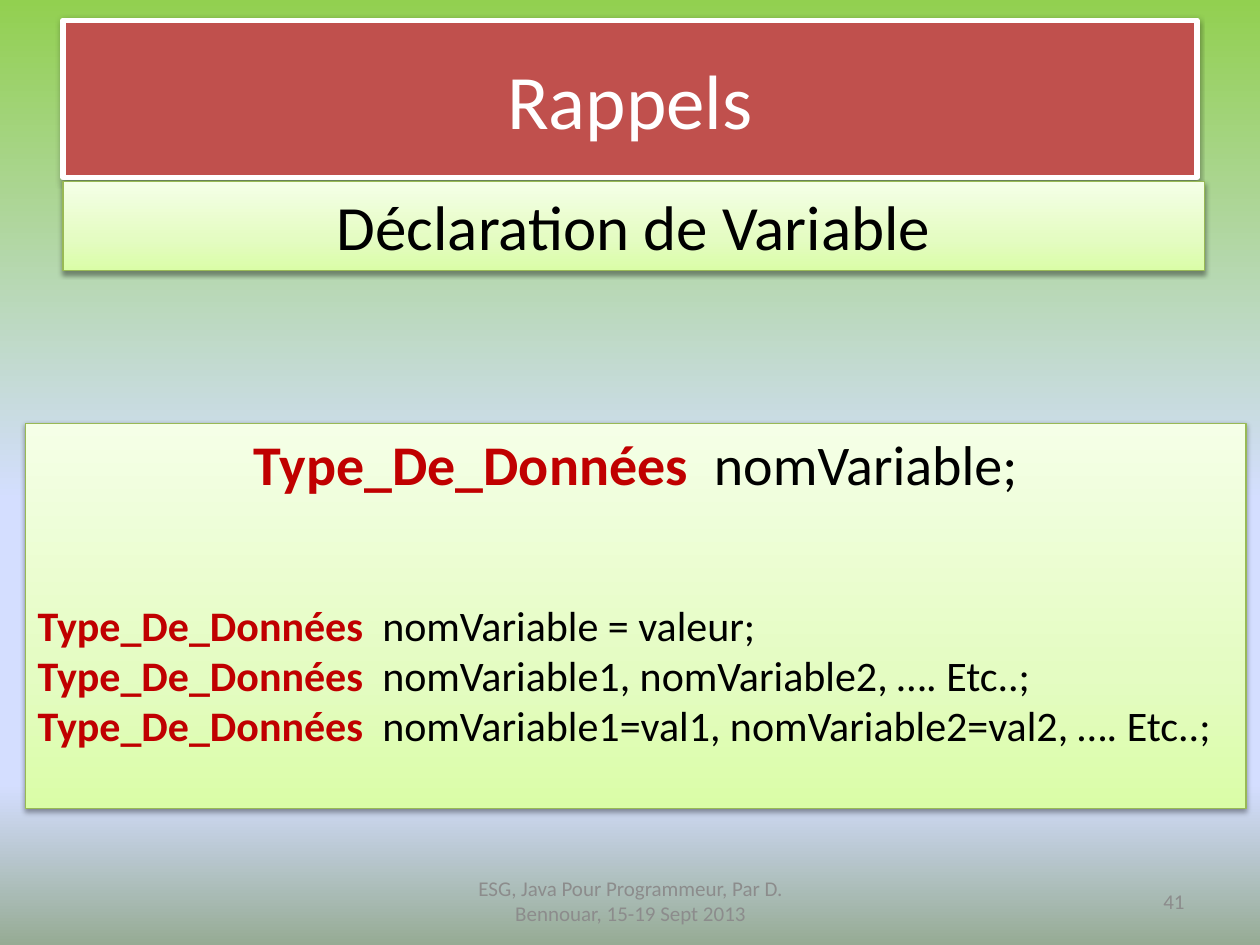
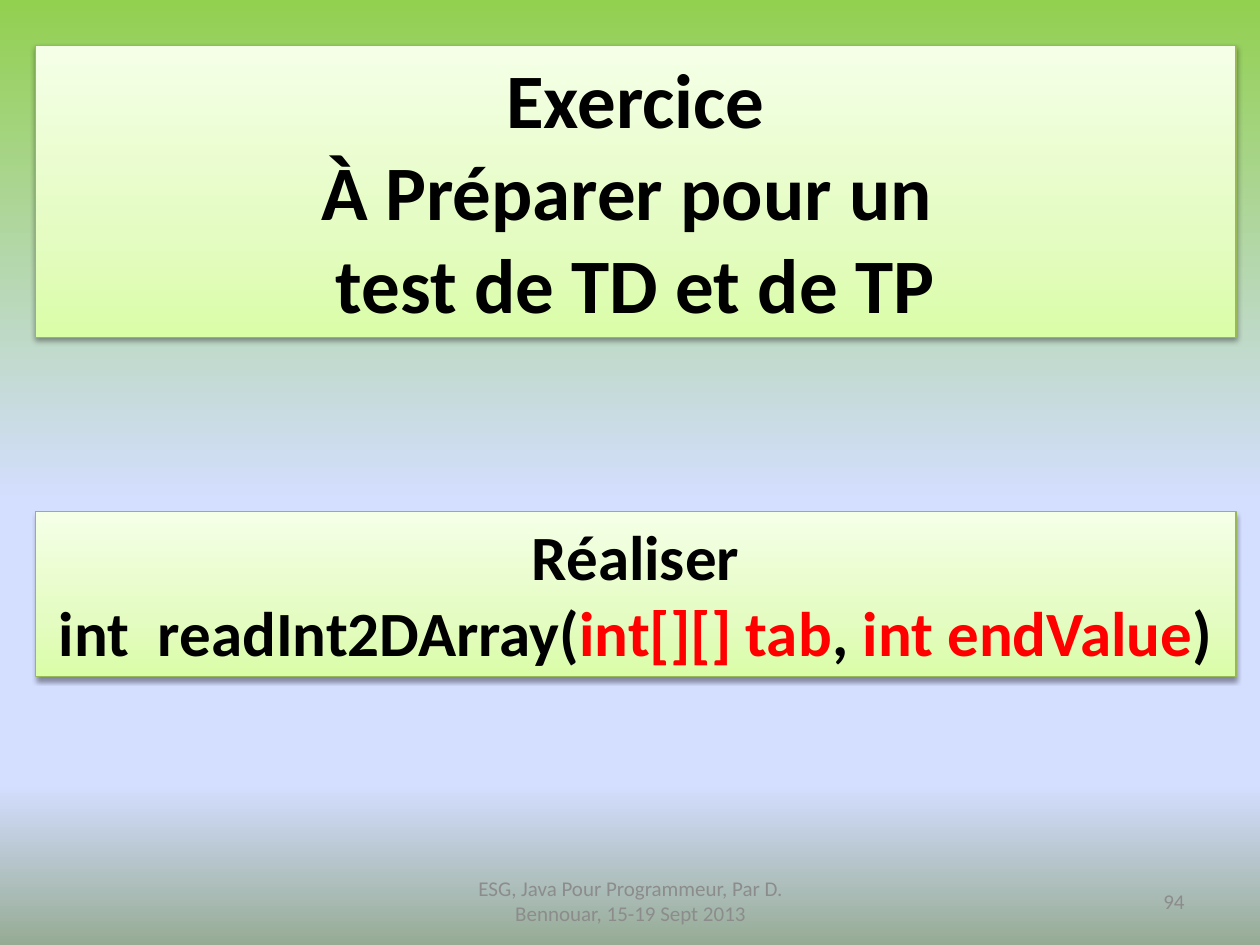
from lxml.etree import SubElement
from pptx import Presentation
from pptx.dml.color import RGBColor
from pptx.enum.shapes import MSO_SHAPE as Preset
from pptx.enum.text import MSO_ANCHOR as Anchor, MSO_AUTO_SIZE as AutoSize, PP_ALIGN as Align
from pptx.oxml.ns import qn
from pptx.util import Inches, Pt

# Shared style
FONT = "Calibri"
INK, WHITE, GREY = "000000", "FFFFFF", "8C8C8C"
TITLE_RED, TYPE_RED, PARAM_RED = "C0504D", "C00000", "FF0000"
PANEL_LINE = "98B955"
SKY = [(0, "92D050"), (53, "D4DEFF"), (83, "D4DEFF"), (100, "96AB94")]
PANEL = [(0, "DAFDA7"), (35, "E4FCC2"), (100, "F5FFE7")]
COLUMNS, ROWS = 100, 75
TITLE_ONLY = 5
FOOTER = "ESG, Java Pour Programmeur, Par D. Bennouar, 15-19 Sept 2013"
DATA_TYPE = ("Type_De_Données  ", TYPE_RED)


def rgb(code):
    return RGBColor.from_string(code)


def apply(target, values):
    for name, value in values.items():
        setattr(target, name, value)


def set_gradient(fill, element, stops, angle):
    """Fill with (percent, colour) stops at a clockwise angle."""
    fill.gradient()
    fill.gradient_angle = 360 - angle
    stop_list = element.find(".//" + qn("a:gsLst"))
    stop_list[:] = []
    for percent, code in stops:
        stop = SubElement(stop_list, qn("a:gs"), pos=str(percent * 1000))
        SubElement(stop, qn("a:srgbClr"), val=code)


class Deck:
    def __init__(self):
        self.prs = Presentation()
        apply(self.prs, {"slide_width": Inches(10), "slide_height": Inches(7.5)})
        master = self.prs.slide_master
        set_gradient(master.background.fill, master.element, SKY, 90)
        self.column = self.prs.slide_width / COLUMNS
        self.row = self.prs.slide_height / ROWS
        self.slide = None

    def box(self, left, top, width, height):
        return (round(left * self.column), round(top * self.row),
                round(width * self.column), round(height * self.row))

    def new_slide(self, number):
        layout = self.prs.slide_layouts[TITLE_ONLY]
        self.slide = self.prs.slides.add_slide(layout)
        self.label((34.2, 69.5, 31.7, 4), FOOTER, Align.CENTER)
        self.label((71.7, 69.5, 23.3, 4), str(number), Align.RIGHT)

    def set_text(self, shape, paragraphs, anchor=Anchor.TOP):
        """Each paragraph is (paragraph format, font format, [(text, colour)])."""
        frame = shape.text_frame
        apply(frame, {"word_wrap": True, "auto_size": AutoSize.NONE,
                      "vertical_anchor": anchor})
        for index, (layout, font, runs) in enumerate(paragraphs):
            paragraph = frame.add_paragraph() if index else frame.paragraphs[0]
            apply(paragraph, layout)
            for text, code in runs:
                run = paragraph.add_run()
                run.text = text
                # Type names are the only bold parts of a declaration
                apply(run.font, {"name": FONT, "bold": code == TYPE_RED, **font})
                run.font.color.rgb = rgb(code)

    def label(self, place, text, align):
        note = self.slide.shapes.add_textbox(*self.box(*place))
        self.set_text(note, [({"alignment": align}, {"size": Pt(12)}, [(text, GREY)])],
                      Anchor.MIDDLE)

    def outline(self, shape, line, width):
        shape.line.color.rgb = rgb(line)
        shape.line.width = Pt(width)
        shape.shadow.inherit = False
        effects = shape.element.spPr.find(qn("a:effectLst"))
        shadow = SubElement(effects, qn("a:outerShdw"), blurRad=str(Pt(3.1)),
                            dist=str(Pt(1.6)), dir="5400000", rotWithShape="0")
        tint = SubElement(shadow, qn("a:srgbClr"), val=INK)
        SubElement(tint, qn("a:alpha"), val="38000")

    def title(self, place):
        heading = self.slide.shapes.title
        apply(heading, dict(zip(("left", "top", "width", "height"), self.box(*place))))
        return heading

    def banner(self, place, text):
        heading = self.title(place)
        heading.fill.solid()
        heading.fill.fore_color.rgb = rgb(TITLE_RED)
        self.outline(heading, WHITE, 3)
        self.set_text(heading, [centred(44, (text, WHITE))], Anchor.MIDDLE)

    def panel(self, place, paragraphs, is_title=False):
        if is_title:
            card = self.title(place)
        else:
            card = self.slide.shapes.add_shape(Preset.RECTANGLE, *self.box(*place))
        set_gradient(card.fill, card.element, PANEL, 270)
        self.outline(card, PANEL_LINE, 0.75)
        self.set_text(card, paragraphs)


def centred(size, *runs, **font):
    return {"alignment": Align.CENTER}, {"size": Pt(size), **font}, runs


def declaration(rest, before=0):
    layout = {"alignment": Align.LEFT, "space_before": Pt(before)}
    return layout, {"size": Pt(24)}, [DATA_TYPE, (rest, INK)]


def main():
    deck = Deck()

    # Variable declaration
    deck.new_slide(41)
    deck.banner((5, 1.6, 90, 12.5), "Rappels")
    deck.panel((2, 33.6, 96.9, 30.6), [
        centred(32, DATA_TYPE, ("nomVariable;", INK)),
        declaration("nomVariable = valeur;", before=58.5),
        declaration("nomVariable1, nomVariable2, …. Etc..;"),
        declaration("nomVariable1=val1, nomVariable2=val2, …. Etc..;"),
    ])
    deck.panel((5, 14.4, 90.6, 7.1), [centred(36, ("Déclaration de Variable", INK))])

    # Exercise
    deck.new_slide(94)
    exercise = ("Exercice", "À Préparer pour un ", "test de TD et de TP")
    deck.panel((2.8, 3.6, 95.3, 23.2),
               [centred(44, (line, INK), bold=True) for line in exercise], is_title=True)
    deck.panel((2.8, 40.6, 95.3, 13.1), [
        centred(36, ("Réaliser", INK), bold=True),
        centred(36, ("int  readInt2DArray(", INK), ("int[][] tab", PARAM_RED),
                (", ", INK), ("int endValue", PARAM_RED), (")", INK), bold=True),
    ])

    deck.prs.save("out.pptx")


if __name__ == "__main__":
    main()
